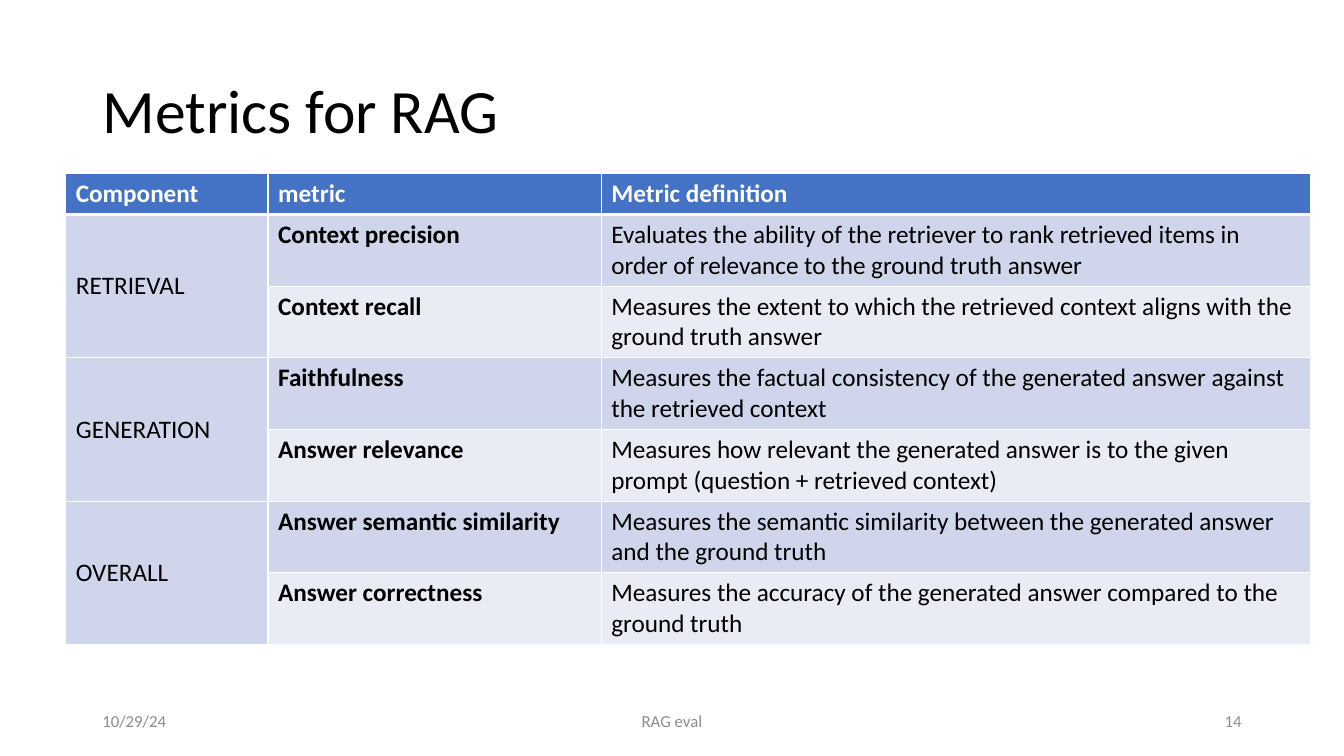
import pptx
import pptx.util
import pptx.dml.color
import pptx.enum.text
import pptx.oxml

Pt = pptx.util.Pt
ALIGN = pptx.enum.text.PP_ALIGN
MIDDLE = pptx.enum.text.MSO_ANCHOR.MIDDLE

COLORS = {
    "head": "4472C4",
    "dark": "CFD5EA",
    "light": "E9EBF5",
    "white": "FFFFFF",
    "black": "000000",
    "gray": "8C8C8C",
}

HEADS = ["Component", "metric", "Metric definition"]
GROUPS = {
    "RETRIEVAL": [
        ("Context precision",
         "Evaluates the ability of the retriever to rank retrieved items in "
         "order of relevance to the ground truth answer"),
        ("Context recall",
         "Measures the extent to which the retrieved context aligns with the "
         "ground truth answer"),
    ],
    "GENERATION": [
        ("Faithfulness",
         "Measures the factual consistency of the generated answer against "
         "the retrieved context"),
        ("Answer relevance",
         "Measures how relevant the generated answer is to the given "
         "prompt (question + retrieved context)"),
    ],
    "OVERALL": [
        ("Answer semantic similarity",
         "Measures the semantic similarity between the generated answer "
         "and the ground truth"),
        ("Answer correctness",
         "Measures the accuracy of the generated answer compared to the "
         "ground truth"),
    ],
}


class Deck:
    """Holds the style and the current slide."""

    font = "Calibri"

    def __init__(self, wide, high):
        self.show = pptx.Presentation()
        self.show.slide_width, self.show.slide_height = Pt(wide), Pt(high)
        self.slide = self.show.slides.add_slide(self.show.slide_layouts[5])

    def color(self, name):
        return pptx.dml.color.RGBColor.from_string(COLORS[name])

    def label(self, frame, text, size, color, bold=False, align=ALIGN.LEFT):
        frame.text = text
        frame.word_wrap = True
        line = frame.paragraphs[0]
        line.alignment = align
        for run in line.runs:
            run.font.name = self.font
            run.font.size = Pt(size)
            run.font.bold = bold
            run.font.color.rgb = self.color(color)

    def title(self, text, left, top, wide, high):
        box = self.slide.shapes.title
        box.left, box.top, box.width, box.height = map(Pt, (left, top, wide, high))
        self.label(box.text_frame, text, 44, "black")
        box.text_frame.vertical_anchor = MIDDLE
        box.text_frame.paragraphs[0].line_spacing = 0.9

    def note(self, text, left, wide, align):
        box = self.slide.shapes.add_textbox(Pt(left), Pt(500.5), Pt(wide), Pt(28.75))
        self.label(box.text_frame, text, 12, "gray", align=align)
        box.text_frame.vertical_anchor = MIDDLE

    def grid(self, left, top, cols, rows):
        frame = self.slide.shapes.add_table(
            len(rows), len(cols), Pt(left), Pt(top), Pt(sum(cols)), Pt(sum(rows)))
        table = frame.table
        for col, wide in zip(table.columns, cols):
            col.width = Pt(wide)
        for row, high in zip(table.rows, rows):
            row.height = Pt(high)
        return table

    def cell(self, cell, fill, text="", color="black", bold=False, base=1):
        # Borders come before the fill in the cell properties
        props = cell._tc.get_or_add_tcPr()
        for side, width in zip("LRTB", (1, 1, 1, base)):
            props.append(pptx.oxml.parse_xml(
                f'<a:ln{side} xmlns:a="http://schemas.openxmlformats.org/drawingml/2006/main" '
                f'w="{Pt(width)}"><a:solidFill><a:srgbClr val="{COLORS["white"]}"/>'
                f'</a:solidFill></a:ln{side}>'))
        cell.fill.solid()
        cell.fill.fore_color.rgb = self.color(fill)
        if text:
            self.label(cell.text_frame, text, 18, color, bold)


def main():
    deck = Deck(960, 540)

    # Title
    deck.title("Metrics for RAG", 66, 28.75, 828, 104.4)

    # Table header
    table = deck.grid(47, 124, [144.5, 238, 507], [29.2] + [51.2] * 6)
    for col, head in enumerate(HEADS):
        deck.cell(table.cell(0, col), "head", head, "white", True, base=3)

    # Two metrics per component
    for part, (name, pair) in enumerate(GROUPS.items()):
        first = 1 + 2 * part
        for step, (term, text) in enumerate(pair):
            row = first + step
            fill = ("dark", "light")[step]
            deck.cell(table.cell(row, 0), "dark", "" if step else name)
            deck.cell(table.cell(row, 1), fill, term, bold=True)
            deck.cell(table.cell(row, 2), fill, text)
        table.cell(first, 0).merge(table.cell(first + 1, 0))
        table.cell(first, 0).vertical_anchor = MIDDLE

    # Footer
    deck.note("10/29/24", 66, 216, ALIGN.LEFT)
    deck.note("RAG eval", 318, 324, ALIGN.CENTER)
    deck.note("14", 678, 216, ALIGN.RIGHT)

    deck.show.save("out.pptx")


if __name__ == "__main__":
    main()
